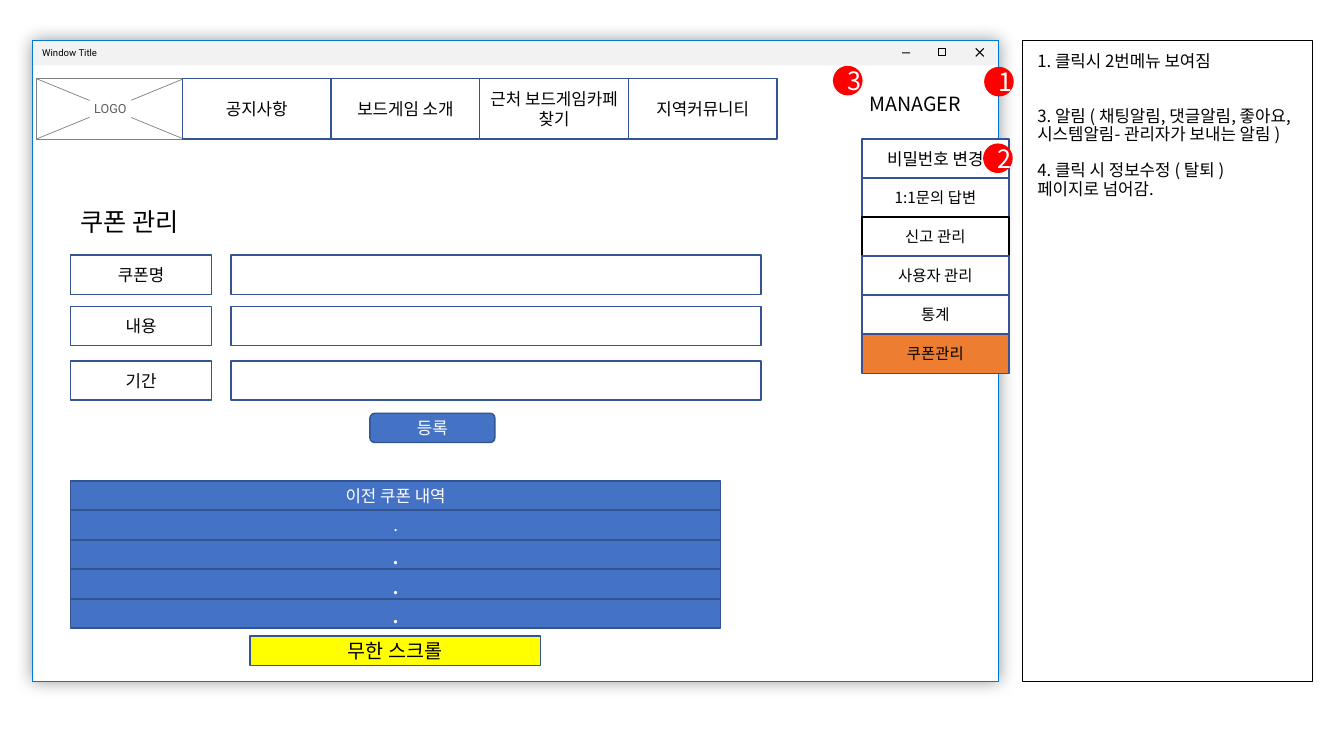
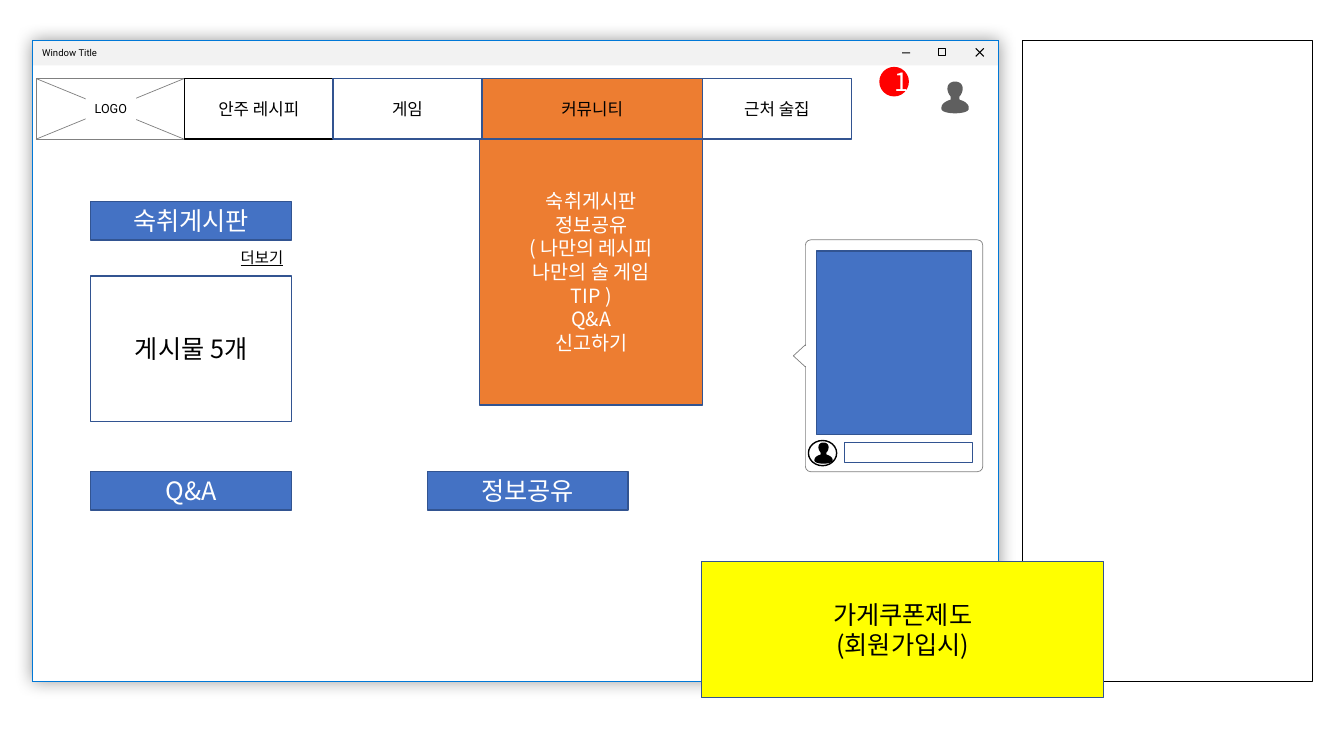
"""Build two wireframe slides: coupon management and community."""
from itertools import accumulate, zip_longest

from lxml.etree import SubElement
from pptx import Presentation
from pptx.dml.color import RGBColor
from pptx.enum.shapes import MSO_CONNECTOR as Connector, MSO_SHAPE as Preset
from pptx.enum.text import MSO_ANCHOR as Anchor, MSO_AUTO_SIZE as AutoSize, PP_ALIGN as Align
from pptx.oxml.ns import qn
from pptx.util import Inches, Pt

BLACK = RGBColor(0x00, 0x00, 0x00)
WHITE = RGBColor(0xFF, 0xFF, 0xFF)
BLUE = RGBColor(0x44, 0x72, 0xC4)
NAVY = RGBColor(0x32, 0x54, 0x91)
ORANGE = RGBColor(0xED, 0x7D, 0x31)
YELLOW = RGBColor(0xFF, 0xFF, 0x00)
RED = RGBColor(0xFF, 0x00, 0x00)
GRAY = RGBColor(0x80, 0x80, 0x80)
DARK_GRAY = RGBColor(0x5F, 0x5F, 0x5F)
WINDOW_BLUE = RGBColor(0x00, 0x78, 0xD7)
BAR_GRAY = RGBColor(0xF2, 0xF2, 0xF2)

KOREAN, LATIN = "Noto Sans CJK KR", "Roboto"
CELL = Inches(0.1)
COLUMNS, ROWS = 133.33, 75
WINDOW = (3.2, 4, 95.8, 63.6)
NAV_TOP, NAV_HEIGHT, NAV_WIDTH = 7.8, 6, 14.75

PERSON_LEFT = [
    [(0.5, 0), (0.34, 0), (0.22, 0.08), (0.22, 0.22)],
    [(0.22, 0.22), (0.22, 0.31), (0.27, 0.41), (0.34, 0.47)],
    [(0.34, 0.53), (0.34, 0.57), (0.34, 0.57), (0.3, 0.58)],
    [(0.3, 0.58), (0.11, 0.63), (0, 0.73), (0, 0.81)],
    [(0, 0.86), (0, 0.94), (0.22, 1), (0.5, 1)],
]


def cells(*counts):
    """Turn grid counts into lengths."""
    return [round(count * CELL) for count in counts]


def curve(start, pull, push, end, steps=8):
    """Return points along one cubic curve."""
    points = []
    for step in range(steps + 1):
        t = step / steps
        weights = ((1 - t) ** 3, 3 * t * (1 - t) ** 2, 3 * t * t * (1 - t), t ** 3)
        points.append(tuple(
            sum(weight * value for weight, value in zip(weights, axis))
            for axis in zip(start, pull, push, end)))
    return points


def write(frame, text, size=12, color=BLACK, font=KOREAN, align=Align.CENTER,
          anchor=Anchor.MIDDLE, inset=0.5, wrap=True, underline=None,
          leading=1.2, gaps=()):
    """Fill a text frame, one paragraph for each line of the text."""
    frame.auto_size = AutoSize.NONE
    frame.word_wrap = wrap
    frame.vertical_anchor = anchor
    frame.margin_left = frame.margin_right = round(inset * CELL)
    frame.margin_top = frame.margin_bottom = round(0.5 * CELL)
    lines = text.split("\n")
    for index, (line, gap) in enumerate(zip_longest(lines, gaps, fillvalue=0)):
        paragraph = frame.add_paragraph() if index else frame.paragraphs[0]
        paragraph.alignment = align
        paragraph.line_spacing = Pt(size * leading)
        paragraph.space_before = Pt(gap)
        run = paragraph.add_run()
        run.text = line
        run.font.size = Pt(size)
        run.font.name = font
        run.font.color.rgb = color
        run.font.underline = underline
        SubElement(run._r.get_or_add_rPr(), qn("a:ea"), typeface=font)


class Wireframe:
    """Hold the deck, the current slide and the shared drawing style."""

    def __init__(self):
        """Start an empty deck."""
        self.deck = Presentation()
        self.deck.slide_width, self.deck.slide_height = cells(COLUMNS, ROWS)

    def page(self, notes=None, **style):
        """Add a slide with the window and the notes panel."""
        self.slide = self.deck.slides.add_slide(self.deck.slide_layouts[5 if notes else 6])
        self.shapes = self.slide.shapes
        if notes:
            title = self.shapes.title
            title.left, title.top, title.width, title.height = cells(101.9, 4.7, 28.8, 63.6)
            write(title.text_frame, notes, align=Align.LEFT, anchor=Anchor.TOP, inset=1, **style)
        self.box(101.4, 4, 28.8, 63.6, fill=None, line=BLACK, weight=0.75)
        self.window()

    def paint(self, shape, fill, line, weight):
        """Set fill and outline, and drop the theme shadow."""
        shape.shadow.inherit = False
        if fill is None:
            shape.fill.background()
        else:
            shape.fill.solid()
            shape.fill.fore_color.rgb = fill
        if line is None:
            shape.line.fill.background()
        else:
            shape.line.color.rgb = line
            shape.line.width = Pt(weight)
        return shape

    def box(self, left, top, width, height, text="", fill=WHITE, line=NAVY,
            weight=1, preset=Preset.RECTANGLE, **style):
        """Add a preset shape, with text if there is any."""
        shape = self.shapes.add_shape(preset, *cells(left, top, width, height))
        self.paint(shape, fill, line, weight)
        if text:
            write(shape.text_frame, text, **style)
        return shape

    def label(self, left, top, width, height, text, **style):
        """Add a plain line of text."""
        frame = self.shapes.add_textbox(*cells(left, top, width, height)).text_frame
        write(frame, text, align=Align.LEFT, anchor=Anchor.TOP, inset=1, wrap=False, **style)

    def rule(self, *ends, color=GRAY, weight=0.5):
        """Add a straight line."""
        rule = self.shapes.add_connector(Connector.STRAIGHT, *cells(*ends))
        rule.line.color.rgb = color
        rule.line.width = Pt(weight)
        SubElement(rule._element.spPr, qn("a:effectLst"))

    def cross(self, left, top, width, height, **style):
        """Add both diagonals of a rectangle."""
        right, bottom = left + width, top + height
        self.rule(left, bottom, right, top, **style)
        self.rule(left, top, right, bottom, **style)

    def badge(self, left, top, number):
        """Add a red numbered marker."""
        self.box(left, top, 2.8, 2.8, number, fill=RED, line=RED, preset=Preset.OVAL,
                 size=18, color=WHITE, inset=1)

    def person(self, left, top, width, height, color):
        """Add a person silhouette."""
        half = [point for part in PERSON_LEFT for point in curve(*part)]
        outline = half + [(1 - x, y) for x, y in reversed(half)]
        points = [cells(left + x * width, top + y * height) for x, y in outline]
        builder = self.shapes.build_freeform(*points[0], scale=1.0)
        builder.add_line_segments(points[1:], close=True)
        self.paint(builder.convert_to_shape(), color, None, 0)

    def window(self):
        """Draw the application window with its title bar and buttons."""
        left, top, width, _ = WINDOW
        backdrop = self.box(*WINDOW, line=WINDOW_BLUE, weight=0.5)
        effects = backdrop._element.spPr.find(qn("a:effectLst"))
        shadow = SubElement(effects, qn("a:outerShdw"), blurRad=str(Pt(12)), dist="0",
                            algn="ctr", rotWithShape="0")
        tint = SubElement(shadow, qn("a:srgbClr"), val=str(BLACK))
        SubElement(tint, qn("a:alpha"), val="40000")
        self.box(left, top, width, 2.5, "Window Title", fill=BAR_GRAY, line=None,
                 size=6.8, font=LATIN, align=Align.LEFT, inset=1)
        self.box(89.5, 5.2, 0.8, 0.1, fill=BLACK, line=None)
        self.box(93.15, 4.85, 0.7, 0.7, fill=None, line=BLACK, weight=0.75)
        self.cross(96.8, 4.8, 0.8, 0.8, color=BLACK, weight=0.75)
        self.box(*WINDOW, fill=None, line=WINDOW_BLUE, weight=0.5)

    def logo(self, left, width, color):
        """Draw the crossed-out logo area."""
        area = (3.6, NAV_TOP, 14.65, NAV_HEIGHT)
        self.box(*area, line=GRAY, weight=0.5)
        self.cross(*area)
        self.box(left, 9.6, width, 2.3, "LOGO", line=None, size=9, color=color,
                 font=LATIN, wrap=False)

    def nav(self, left, tabs):
        """Draw adjoining tabs given as text, width, fill and outline."""
        lefts = accumulate((tab[1] for tab in tabs), initial=left)
        for start, (text, width, fill, line) in zip(lefts, tabs):
            self.box(start, NAV_TOP, width, NAV_HEIGHT, text, fill=fill, line=line)


def coupon_page(wire):
    """Draw the coupon management slide."""
    wire.page("1. 클릭시 2번메뉴 보여짐\n"
              "3. 알림 ( 채팅알림, 댓글알림, 좋아요, 시스템알림- 관리자가 보내는 알림 )\n"
              "4. 클릭 시 정보수정 ( 탈퇴 )\n페이지로 넘어감.",
              leading=1.09, gaps=(0, 26, 13, 0))
    wire.logo(8.9, 4.1, DARK_GRAY)
    wire.nav(18.1, [(text, NAV_WIDTH, WHITE, NAVY) for text in (
        "공지사항", "보드게임 소개", "근처 보드게임카페 찾기", "지역커뮤니티")])
    wire.box(84.3, 8.3, 13, 3.9, "MANAGER", line=None, preset=Preset.ROUNDED_RECTANGLE, size=14)

    menu = [("비밀번호 변경", 12, WHITE, NAVY), ("1:1문의 답변", 11, WHITE, NAVY),
            ("신고 관리", 11, WHITE, BLACK), ("사용자 관리", 11, WHITE, NAVY),
            ("통계", 11, WHITE, NAVY), ("쿠폰관리", 11, ORANGE, NAVY)]
    for index, (entry, size, fill, line) in enumerate(menu):
        wire.box(85.5, 13.8 + 3.87 * index, 14.6, 3.9, entry, fill=fill, line=line, size=size)
    for left, top, number in ((97.7, 6.7, "1"), (97.6, 14.3, "2"), (82.7, 6.6, "3")):
        wire.badge(left, top, number)

    wire.label(7, 20, 13, 4, "쿠폰 관리", size=18)
    for top, field in ((25.3, "쿠폰명"), (30.4, "내용"), (35.8, "기간")):
        wire.box(22.9, top, 52.6, 3.9)
        wire.box(7, top, 14, 3.9, field)
    wire.box(36.7, 41, 12.4, 2.9, "등록", fill=BLUE, color=WHITE,
             preset=Preset.ROUNDED_RECTANGLE)

    history = [("이전 쿠폰 내역", 12), (".", 12), (".", 18), (".", 18), (".", 18)]
    for index, (entry, size) in enumerate(history):
        wire.box(7, 47.7 + 2.93 * index, 64.5, 2.9, entry, fill=BLUE, size=size, color=WHITE)
    wire.box(24.8, 63.1, 28.8, 2.9, "무한 스크롤", fill=YELLOW, size=14)


def community_page(wire):
    """Draw the community slide."""
    wire.page()
    wire.badge(87.3, 6.7, "1")
    wire.person(93.4, 8.1, 2.7, 3.15, DARK_GRAY)

    wire.box(79.9, 23.8, 17.6, 23, line=GRAY, weight=0.5,
             preset=Preset.ROUNDED_RECTANGLE).adjustments[0] = 0.03
    wire.box(78.2, 34.7, 2.2, 1.2, line=GRAY, weight=0.5,
             preset=Preset.ISOSCELES_TRIANGLE).rotation = 270
    wire.rule(79.9, 34.3, 79.9, 36.3, color=WHITE)
    wire.box(83.8, 43.9, 12.7, 2)
    wire.box(81, 24.9, 15.4, 18.2, fill=BLUE)
    wire.box(80.2, 43.7, 2.8, 2.5, line=BLACK, preset=Preset.OVAL)
    wire.person(80.8, 43.9, 1.8, 2.1, BLACK)

    for left, top, board in ((9, 20, "숙취게시판"), (9, 46.8, "Q&A"), (42.4, 46.8, "정보공유")):
        wire.box(left, top, 19.9, 3.8, board, fill=BLUE, size=18, color=WHITE)
    wire.box(9, 27.4, 19.9, 14.4, "게시물 5개", size=18)
    wire.label(22.9, 24.1, 6.6, 2.9, "더보기", size=11, underline=True)

    wire.box(47.6, 13.7, 22.1, 26.5,
             "숙취게시판\n정보공유\n( 나만의 레시피\n나만의 술 게임\nTIP )\nQ&A\n신고하기",
             fill=ORANGE, size=14, color=WHITE)
    wire.logo(8.5, 5, BLACK)
    wire.nav(18.3, [("안주 레시피", NAV_WIDTH, WHITE, BLACK), ("게임", NAV_WIDTH, WHITE, NAVY),
                    ("커뮤니티", 21.9, ORANGE, NAVY), ("근처 술집", NAV_WIDTH, WHITE, NAVY)])
    wire.box(69.6, 55.7, 39.9, 13.5, "가게쿠폰제도\n(회원가입시)", fill=YELLOW, size=18)


def main():
    """Build and save the deck."""
    wire = Wireframe()
    coupon_page(wire)
    community_page(wire)
    wire.deck.save("out.pptx")


if __name__ == "__main__":
    main()
